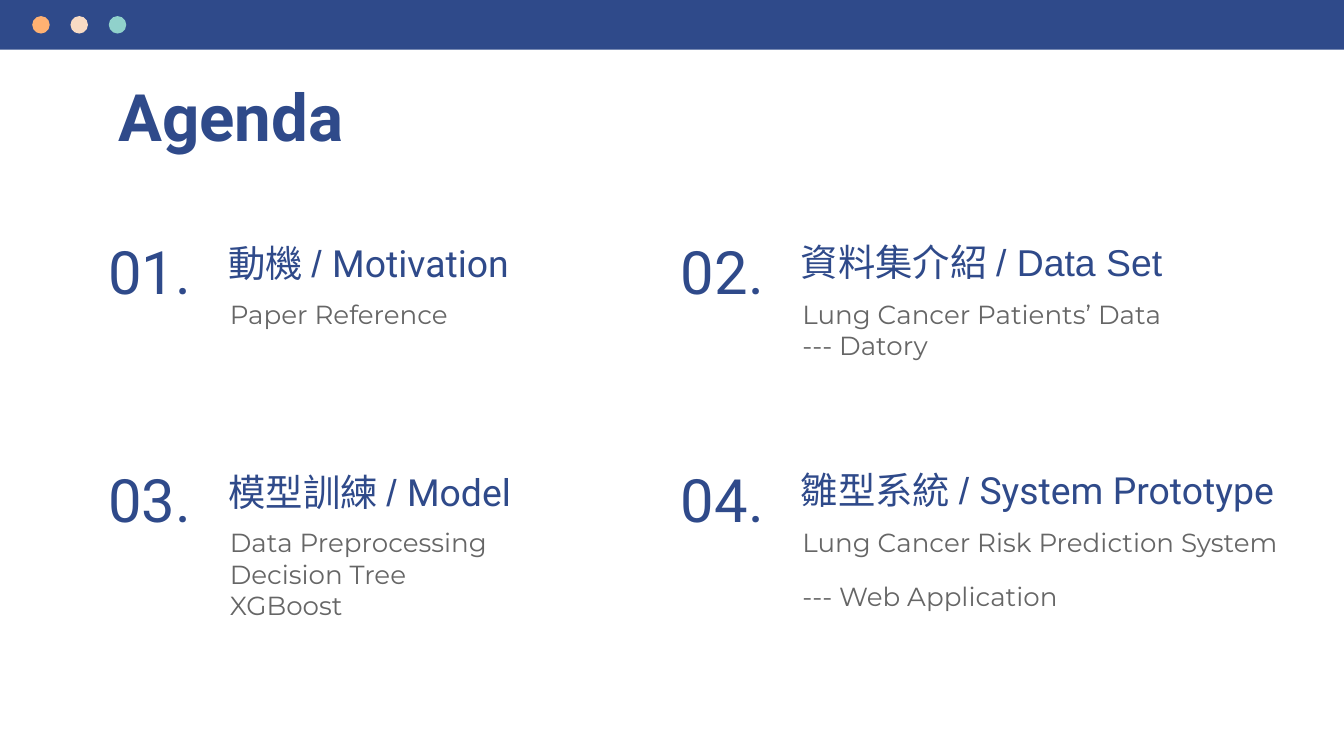
from lxml import etree
from pptx import Presentation
from pptx.dml.color import RGBColor
from pptx.enum.shapes import MSO_SHAPE
from pptx.enum.text import MSO_ANCHOR, MSO_AUTO_SIZE, PP_ALIGN
from pptx.oxml.ns import qn
from pptx.util import Inches, Pt

RECTANGLE, OVAL = MSO_SHAPE.RECTANGLE, MSO_SHAPE.OVAL
TOP, BOTTOM = MSO_ANCHOR.TOP, MSO_ANCHOR.BOTTOM
LEFT, CENTER = PP_ALIGN.LEFT, PP_ALIGN.CENTER
NO_AUTOFIT = MSO_AUTO_SIZE.NONE
COMPARISON_LAYOUT = 4

SLIDE_WIDTH = Inches(10)
SLIDE_HEIGHT = SLIDE_WIDTH * 9 // 16
NAVY, GREY = "2F4A8A", "666666"
DOT_COLOURS = ["FFB172", "F8DBC4", "90D1CB"]
LATIN, HEADING, BODY = "Arial", "Roboto", "Montserrat"

COLUMNS = [0.62, 4.88]
ROWS = [1.74, 3.44]
# Heading runs, heading width, description lines, description size, space after
TOPICS = [
    ([("動機 / ", LATIN), ("Motivation", HEADING)], 2.49,
     ["Paper Reference"], (2.47, 0.64), 12),
    ([("資料集介紹 / Data Set", LATIN)], 3.33,
     ["Lung Cancer Patients’ Data --- Datory"], (2.88, 0.64), 12),
    ([("模型訓練 / ", LATIN), ("Model", HEADING)], 2.49,
     ["Data Preprocessing", "Decision Tree", "XGBoost"], (2.47, 1.27), 0),
    ([("雛型系統 / ", LATIN), ("System Prototype", HEADING)], 3.81,
     ["Lung Cancer Risk Prediction System", "--- Web Application"],
     (3.81, 1.15), 12),
]


def colour(value):
    return RGBColor.from_string(value)


class AgendaSlide:
    def __init__(self, presentation):
        layout = presentation.slide_layouts[COMPARISON_LAYOUT]
        self.slide = presentation.slides.add_slide(layout)
        self.bodies = [placeholder for placeholder in self.slide.placeholders
                       if placeholder.placeholder_format.idx > 0]

    def shape(self, kind, left, top, width, height, fill):
        shape = self.slide.shapes.add_shape(
            kind, Inches(left), Inches(top), Inches(width), Inches(height))
        shape.shadow.inherit = False
        shape.fill.solid()
        shape.fill.fore_color.rgb = colour(fill)
        shape.line.fill.background()

    def frame(self, shape, left, top, width, height, inset=0.1, anchor=TOP):
        """Place a text shape and return its text frame."""
        shape.left, shape.top = Inches(left), Inches(top)
        shape.width, shape.height = Inches(width), Inches(height)
        frame = shape.text_frame
        frame.word_wrap = True
        frame.auto_size = NO_AUTOFIT
        frame.vertical_anchor = anchor
        frame.margin_left = frame.margin_right = Inches(0.1)
        frame.margin_top = frame.margin_bottom = Inches(inset)
        return frame

    def run(self, paragraph, text, size, font, text_colour, bold=False):
        run = paragraph.add_run()
        run.text = text
        run.font.size = Pt(size)
        run.font.name = font
        run.font.bold = bold
        run.font.color.rgb = colour(text_colour)

    def text_box(self, runs, size, left, top, width, height,
                 inset=0.05, anchor=TOP, align=LEFT):
        box = self.slide.shapes.add_textbox(0, 0, 0, 0)
        frame = self.frame(box, left, top, width, height, inset, anchor)
        paragraph = frame.paragraphs[0]
        paragraph.alignment = align
        for text, font in runs:
            self.run(paragraph, text, size, font, NAVY)

    def title(self, text, left, top, width, height):
        frame = self.frame(self.slide.shapes.title, left, top, width, height)
        paragraph = frame.paragraphs[0]
        paragraph.alignment = LEFT
        self.run(paragraph, text, 35, HEADING, NAVY, bold=True)

    def description(self, body, lines, space_after, left, top, width, height):
        frame = self.frame(body, left, top, width, height)
        for index, line in enumerate(lines):
            paragraph = frame.add_paragraph() if index else frame.paragraphs[0]
            properties = paragraph._p.get_or_add_pPr()
            properties.set("marL", "0")
            properties.set("indent", "0")
            etree.SubElement(properties, qn("a:buNone"))
            paragraph.alignment = LEFT
            paragraph.space_before = Pt(0)
            paragraph.space_after = Pt(space_after)
            self.run(paragraph, line, 14, BODY, GREY)


def main():
    presentation = Presentation()
    presentation.slide_width = SLIDE_WIDTH
    presentation.slide_height = SLIDE_HEIGHT
    agenda = AgendaSlide(presentation)

    agenda.shape(RECTANGLE, 0, 0, 10, 0.37, NAVY)
    for index, dot_colour in enumerate(DOT_COLOURS):
        agenda.shape(OVAL, 0.24 + 0.57 * index / 2, 0.12, 0.13, 0.13, dot_colour)

    agenda.title("Agenda", 0.78, 0.47, 8.44, 0.85)
    for index, (heading, heading_width, lines, size, space_after) in enumerate(TOPICS):
        row, column = divmod(index, len(COLUMNS))
        left, top = COLUMNS[column], ROWS[row]
        agenda.text_box([(f"{index + 1:02}.", HEADING)], 32, left, top, 0.99, 0.64,
                        inset=0.1, anchor=BOTTOM, align=CENTER)
        agenda.text_box(heading, 20, left + 0.98, top - 0.01 * column,
                        heading_width, 0.44)
        agenda.description(agenda.bodies[index], lines, space_after,
                           left + 0.99, top + 0.38, *size)

    presentation.save("out.pptx")


if __name__ == "__main__":
    main()
